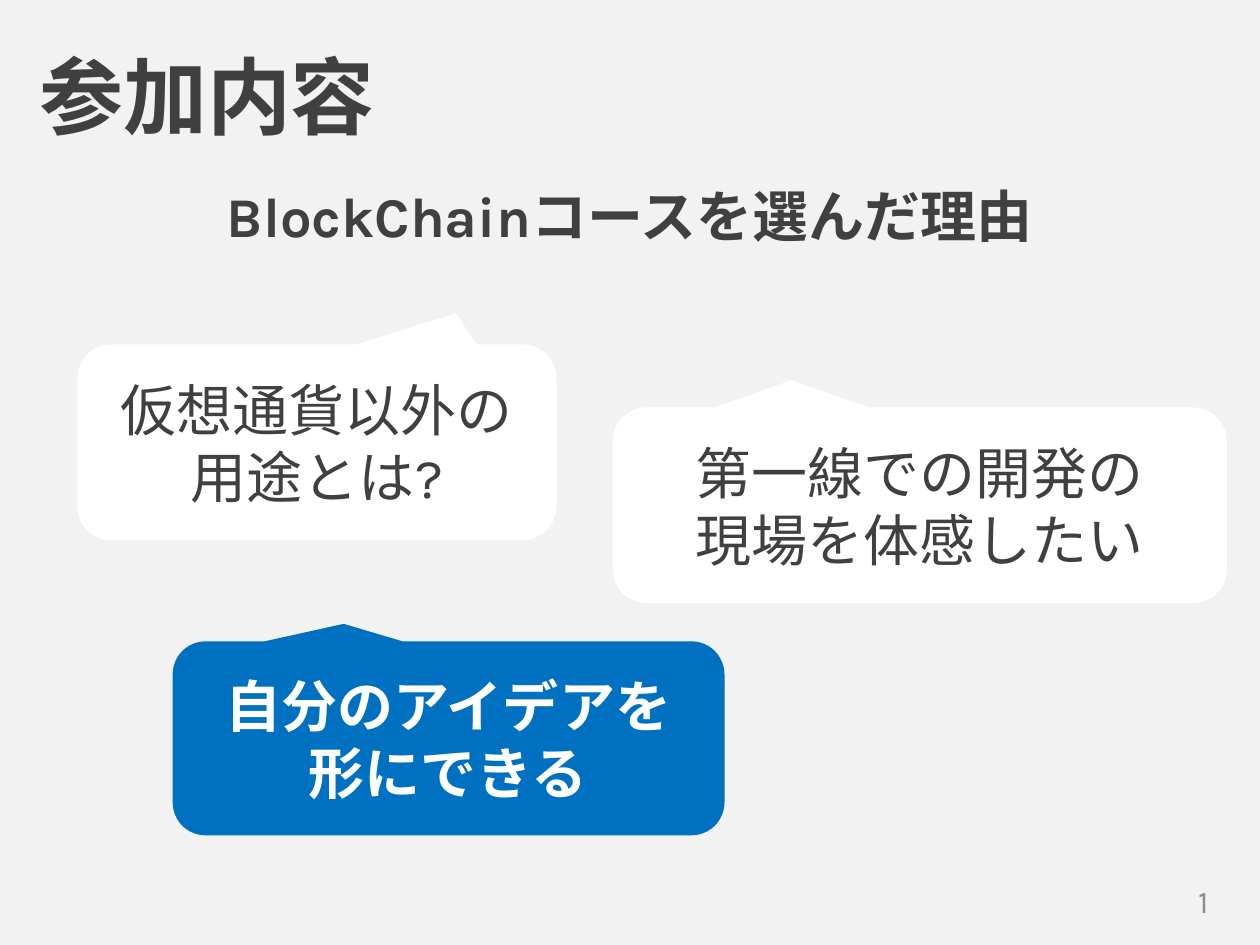
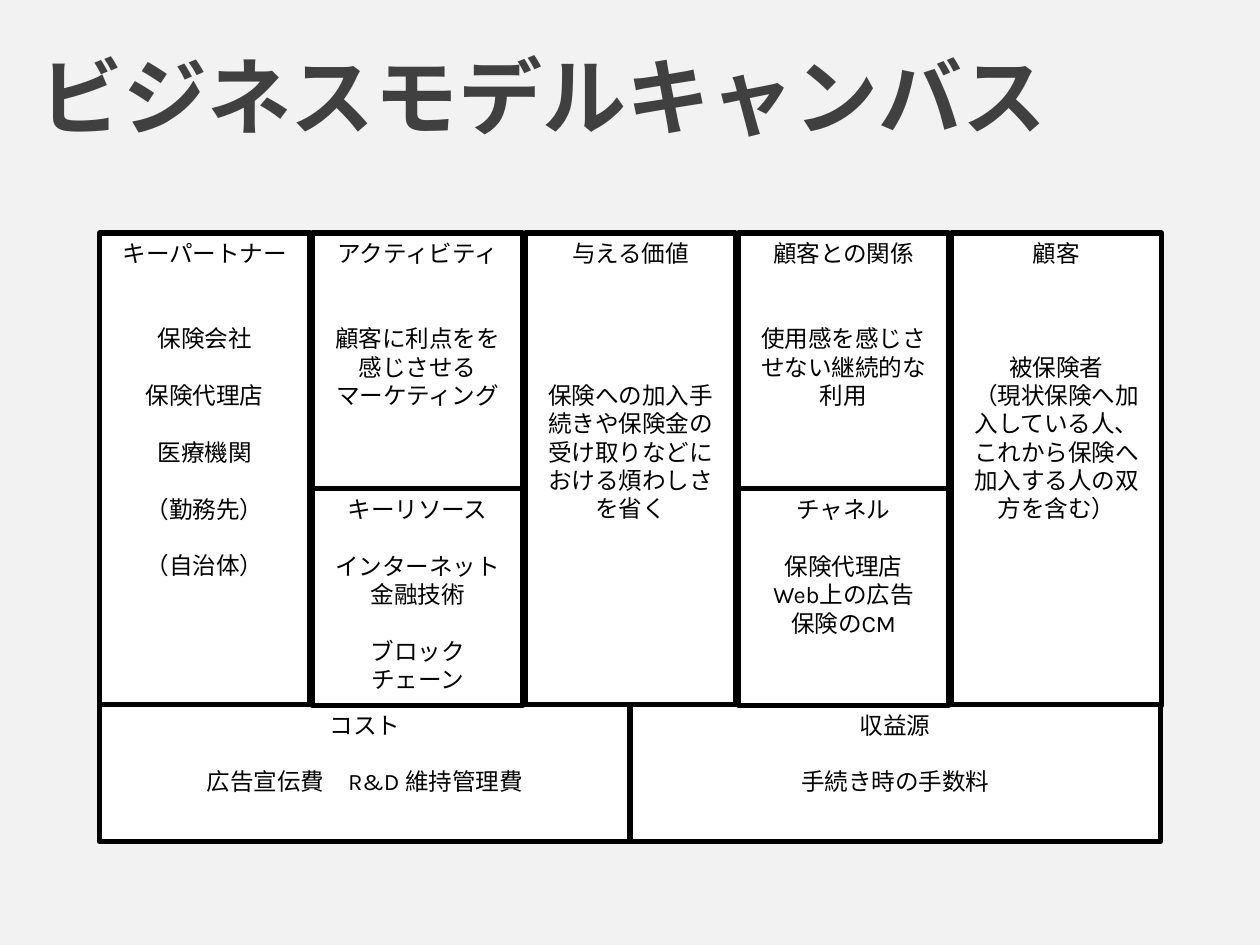
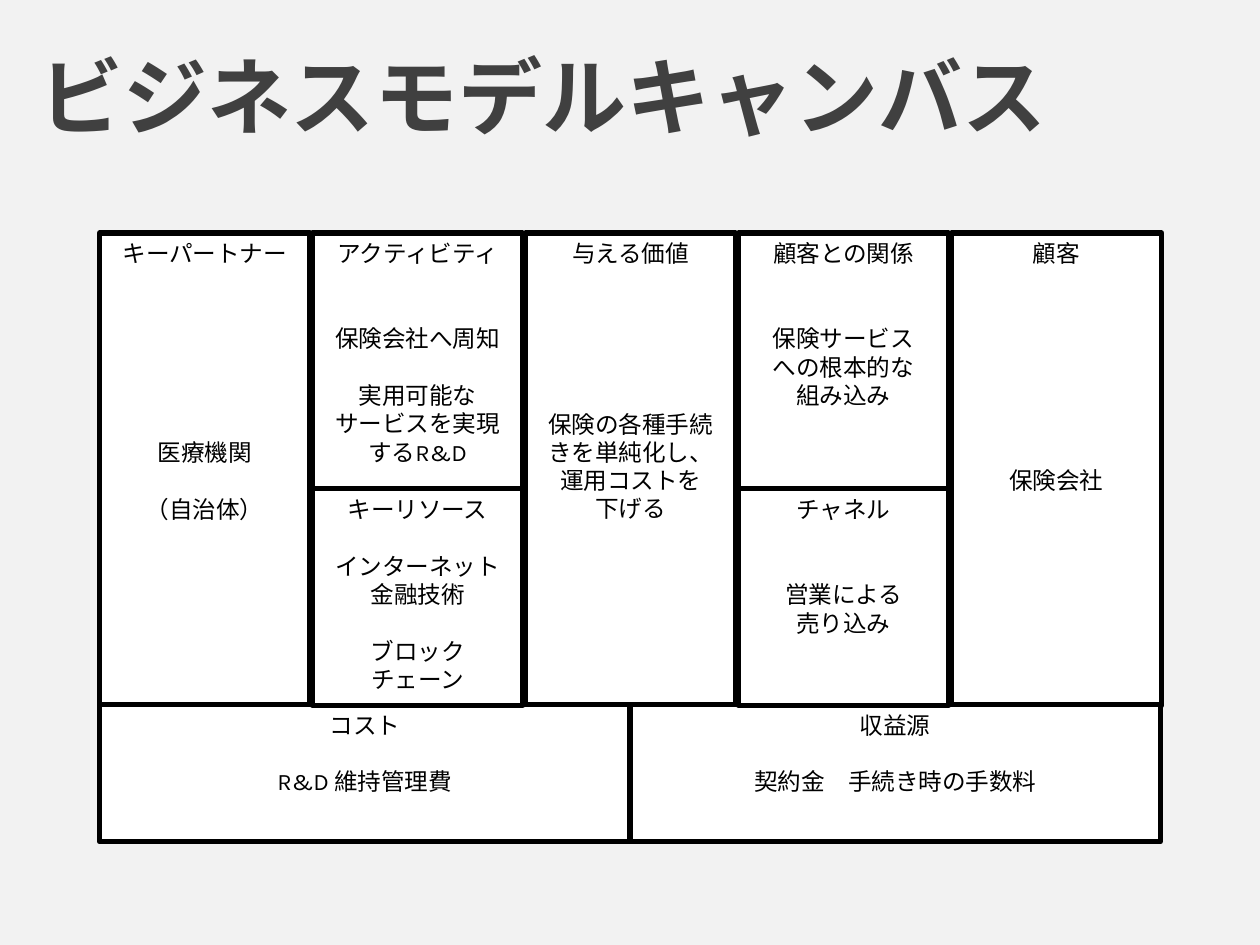
from dataclasses import dataclass

from pptx import Presentation
from pptx.dml.color import RGBColor
from pptx.enum.shapes import MSO_SHAPE
from pptx.enum.text import MSO_ANCHOR, MSO_AUTO_SIZE, PP_ALIGN
from pptx.util import Inches, Pt


@dataclass(frozen=True)
class Theme:
    font: str = "Karla"
    background: str = "F2F2F2"
    ink: str = "404040"
    muted: str = "8C8C8C"
    white: str = "FFFFFF"
    black: str = "000000"
    accent: str = "0070C0"
    title_size: float = 48
    lead_size: float = 32
    number_size: float = 18
    cell_size: float = 13.5
    cell_pitch: float = 16.2
    callout_border: float = 1
    cell_border: float = 3


class CanvasDeck:
    def __init__(self, theme):
        self.theme = theme
        self.deck = Presentation()
        self.deck.slide_width = Inches(10)
        self.deck.slide_height = Inches(7.5)
        fill = self.deck.slide_master.background.fill
        fill.solid()
        fill.fore_color.rgb = RGBColor.from_string(theme.background)
        self.page = None

    def new_page(self, title, title_width):
        self.page = self.deck.slides.add_slide(self.deck.slide_layouts[5])
        box = self.page.shapes.title
        box.left, box.top = Inches(0.21), Inches(0.3)
        box.width, box.height = Inches(title_width), Inches(0.91)
        self.set_lines(box, [title], self.theme.title_size, self.theme.ink,
                       bold=True, align=PP_ALIGN.LEFT)

    def set_lines(self, box, lines, size, color, bold=False,
                  align=PP_ALIGN.CENTER, anchor=MSO_ANCHOR.TOP):
        frame = box.text_frame
        frame.text = "\n".join(lines)
        frame.word_wrap = True
        frame.auto_size = MSO_AUTO_SIZE.NONE
        frame.vertical_anchor = anchor
        for para in frame.paragraphs:
            para.alignment = align
            for span in para.runs:
                span.font.name = self.theme.font
                span.font.size = Pt(size)
                span.font.bold = bold
                span.font.color.rgb = RGBColor.from_string(color)

    def text(self, at, line, size, color, **style):
        box = self.page.shapes.add_textbox(*map(Inches, at))
        self.set_lines(box, [line], size, color, **style)

    def shape(self, kind, at, fill, border=None, border_width=0):
        box = self.page.shapes.add_shape(kind, *map(Inches, at))
        box.shadow.inherit = False
        box.fill.solid()
        box.fill.fore_color.rgb = RGBColor.from_string(fill)
        if border:
            box.line.color.rgb = RGBColor.from_string(border)
            box.line.width = Pt(border_width)
        else:
            box.line.fill.background()
        return box

    def callout(self, at, tip, lines, highlighted=False):
        theme = self.theme
        fill = theme.accent if highlighted else theme.white
        border = None if highlighted else theme.white
        box = self.shape(MSO_SHAPE.ROUNDED_RECTANGULAR_CALLOUT, at, fill,
                         border, theme.callout_border)
        for index, value in enumerate((*tip, 0.17)):
            box.adjustments[index] = value
        self.set_lines(box, lines, theme.lead_size,
                       theme.white if highlighted else theme.ink,
                       bold=highlighted, anchor=MSO_ANCHOR.MIDDLE)

    def cell(self, at, heading, blocks):
        theme = self.theme
        box = self.shape(MSO_SHAPE.RECTANGLE, at, theme.white,
                         theme.black, theme.cell_border)
        lines, gaps = [heading], [0]
        for gap, *block in blocks:
            lines += block
            gaps += [gap] + [0] * (len(block) - 1)
        self.set_lines(box, lines, theme.cell_size, theme.black)
        for para, gap in zip(box.text_frame.paragraphs, gaps):
            para.space_before = Pt(gap * theme.cell_pitch)

    def business_canvas(self, contents):
        self.new_page("ビジネスモデルキャンバス", 8.45)
        for heading, at in CANVAS_CELLS.items():
            self.cell(at, heading, contents[heading])

    def save(self):
        self.deck.save("out.pptx")


LEFT, TOP, MIDDLE, BOTTOM = 0.79, 1.85, 3.88, 5.59
COLUMNS = [LEFT + 1.69 * index for index in range(5)]
WIDTH, FULL, UPPER, LOWER = 1.67, 3.75, 2.03, 1.72
HALF, BASE = 4.21, 1.09

CANVAS_CELLS = {
    "キーパートナー": (COLUMNS[0], TOP, WIDTH, FULL),
    "アクティビティ": (COLUMNS[1], TOP, WIDTH, UPPER),
    "与える価値": (COLUMNS[2], TOP, WIDTH, FULL),
    "顧客": (COLUMNS[4], TOP, WIDTH, FULL),
    "コスト": (LEFT, BOTTOM, HALF, BASE),
    "収益源": (LEFT + HALF, BOTTOM, HALF, BASE),
    "キーリソース": (COLUMNS[1], MIDDLE, WIDTH, LOWER),
    "顧客との関係": (COLUMNS[3], TOP, WIDTH, UPPER),
    "チャネル": (COLUMNS[3], MIDDLE, WIDTH, LOWER),
}

RESOURCES = [(1, "インターネット", "金融技術"), (1, "ブロック", "チェーン")]

INSURED_CANVAS = {
    "キーパートナー": [(2, "保険会社"), (1, "保険代理店"), (1, "医療機関"),
                (1, "（勤務先）"), (1, "（自治体）")],
    "アクティビティ": [(2, "顧客に利点をを", "感じさせる", "マーケティング")],
    "与える価値": [(4, "保険への加入手続きや保険金の受け取りなどにおける煩わしさを省く")],
    "顧客": [(3, "被保険者",
            "（現状保険へ加入している人、これから保険へ加入する人の双方を含む）")],
    "コスト": [(1, "広告宣伝費　R&D 維持管理費")],
    "収益源": [(1, "手続き時の手数料")],
    "キーリソース": RESOURCES,
    "顧客との関係": [(2, "使用感を感じさせない継続的な", "利用")],
    "チャネル": [(1, "保険代理店", "Web上の広告", "保険のCM")],
}

INSURER_CANVAS = {
    "キーパートナー": [(6, "医療機関"), (1, "（自治体）")],
    "アクティビティ": [(2, "保険会社へ周知"),
                (1, "実用可能な", "サービスを実現", "するR&D")],
    "与える価値": [(5, "保険の各種手続きを単純化し、", "運用コストを", "下げる")],
    "顧客": [(7, "保険会社")],
    "コスト": [(1, "R&D 維持管理費")],
    "収益源": [(1, "契約金　手続き時の手数料")],
    "キーリソース": RESOURCES,
    "顧客との関係": [(2, "保険サービス", "への根本的な", "組み込み")],
    "チャネル": [(2, "営業による", "売り込み")],
}

theme = Theme()
deck = CanvasDeck(theme)

deck.new_page("参加内容", 4.46)
deck.text((7.44, 6.95, 2.25, 0.4), "1", theme.number_size, theme.muted,
          align=PP_ALIGN.RIGHT, anchor=MSO_ANCHOR.MIDDLE)
deck.text((0.62, 1.39, 8.76, 0.64), "BlockChainコースを選んだ理由",
          theme.lead_size, theme.ink, bold=True)
deck.callout((0.62, 2.74, 3.79, 1.54), (0.29, -0.66),
             ["仮想通貨以外の", "用途とは?"])
deck.callout((1.37, 5.09, 4.38, 1.54), (-0.19, -0.59),
             ["自分のアイデアを", "形にできる"], highlighted=True)
deck.callout((4.87, 3.24, 4.86, 1.54), (-0.21, -0.64),
             ["第一線での開発の", "現場を体感したい"])

for contents in (INSURED_CANVAS, INSURER_CANVAS):
    deck.business_canvas(contents)

deck.save()
